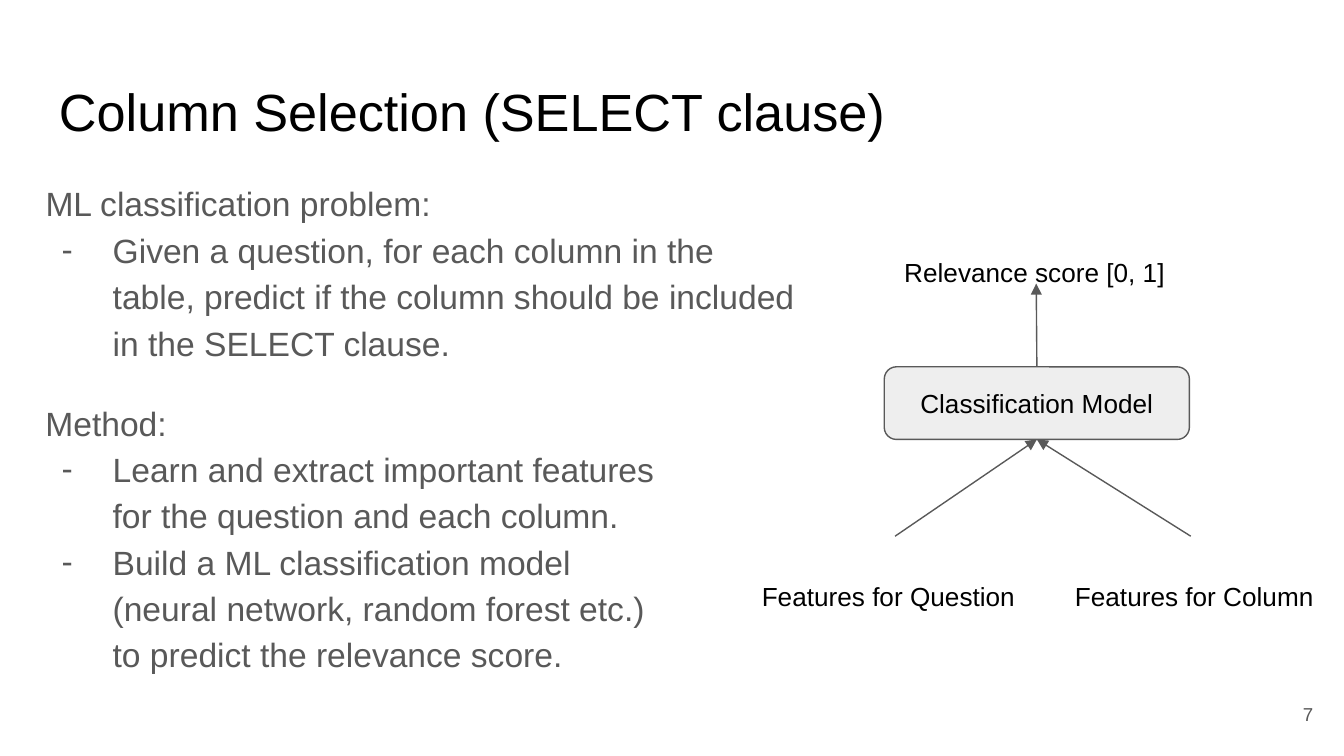
import pptx
import pptx.dml.color
import pptx.enum.shapes
import pptx.enum.text
import pptx.oxml
import pptx.oxml.ns
import pptx.util
from lxml import etree

Inches = pptx.util.Inches
Pt = pptx.util.Pt
ALIGN = pptx.enum.text.PP_ALIGN
ANCHOR = pptx.enum.text.MSO_ANCHOR
COLORS = {"black": "000000", "gray": "595959", "light": "EEEEEE", "white": "FFFFFF"}


def rgb(name):
    return pptx.dml.color.RGBColor.from_string(COLORS[name])


def write(para, text, size=14, color="black", align=ALIGN.LEFT, spacing=None, bullet=None):
    """Put formatted text, with an optional bullet, into a paragraph."""
    para.alignment = align
    if spacing:
        para.line_spacing = spacing
    if bullet:
        props = para._p.get_or_add_pPr()
        props.set("marL", str(Inches(0.5)))
        props.set("indent", str(Inches(-0.38)))
        tint = etree.SubElement(props, pptx.oxml.ns.qn("a:buClr"))
        etree.SubElement(tint, pptx.oxml.ns.qn("a:srgbClr"), val=COLORS[color])
        etree.SubElement(props, pptx.oxml.ns.qn("a:buFont"), typeface="Arial")
        etree.SubElement(props, pptx.oxml.ns.qn("a:buChar"), char=bullet)
    span = para.add_run()
    span.text = text
    span.font.name = "Arial"
    span.font.size = Pt(size)
    span.font.color.rgb = rgb(color)


class Builder:
    """Hold the drawing style and the current page."""

    def __init__(self, page, line_color="gray", line_width=0.75):
        self.page = page
        self.line_color = line_color
        self.line_width = line_width
        page.background.fill.solid()
        page.background.fill.fore_color.rgb = rgb("white")

    def outline(self, line):
        line.color.rgb = rgb(self.line_color)
        line.width = Pt(self.line_width)

    def frame(self, shape, anchor):
        frame = shape.text_frame
        frame.word_wrap = True
        frame.vertical_anchor = anchor
        frame.margin_left = frame.margin_right = Inches(0.1)
        frame.margin_top = frame.margin_bottom = Inches(0.1)
        return frame

    def text(self, place, text, anchor=ANCHOR.TOP, **style):
        box = self.page.shapes.add_textbox(*map(Inches, place))
        write(self.frame(box, anchor).paragraphs[0], text, **style)
        return box

    def section(self, place, heading, items):
        style = dict(size=18, color="gray", spacing=1.15)
        box = self.text(place, heading, **style)
        for item in items:
            write(box.text_frame.add_paragraph(), item, bullet="-", **style)

    def node(self, place, text):
        kind = pptx.enum.shapes.MSO_SHAPE.ROUNDED_RECTANGLE
        node = self.page.shapes.add_shape(kind, *map(Inches, place))
        node.shadow.inherit = False
        node.fill.solid()
        node.fill.fore_color.rgb = rgb("light")
        self.outline(node.line)
        write(self.frame(node, ANCHOR.MIDDLE).paragraphs[0], text, align=ALIGN.CENTER)
        return node

    def arrow(self, start, end):
        kind = pptx.enum.shapes.MSO_CONNECTOR.STRAIGHT
        arrow = self.page.shapes.add_connector(kind, *map(Inches, start + end))
        self.outline(arrow.line)
        tail = etree.SubElement(arrow.line._get_or_add_ln(), pptx.oxml.ns.qn("a:tailEnd"))
        tail.set("type", "triangle")
        etree.SubElement(arrow._element.spPr, pptx.oxml.ns.qn("a:effectLst"))
        return arrow


def main():
    deck = pptx.Presentation()
    deck.slide_width = Inches(10)
    deck.slide_height = deck.slide_width * 9 // 16
    build = Builder(deck.slides.add_slide(deck.slide_layouts[6]))

    build.text((0.34, 0.49, 9.32, 0.63), "Column Selection (SELECT clause)", size=28)
    build.text((9.27, 5.1, 0.6, 0.43), "7", anchor=ANCHOR.MIDDLE, size=10,
               color="gray", align=ALIGN.RIGHT)

    model = build.node((6.58, 2.73, 2.27, 0.54), "Classification Model")
    for left in (6.66, 8.86):
        build.arrow((left, 3.99), (7.72, 3.27)).end_connect(model, 2)
    build.arrow((7.72, 2.73), (7.71, 2.11)).begin_connect(model, 0)

    build.text((6.63, 1.81, 2.17, 0.29), "Relevance score [0, 1]")
    for left, source in ((5.57, "Question"), (7.9, "Column")):
        build.text((left, 4.22, 2.17, 0.25), f"Features for {source}")

    build.section((0.24, 2.85, 4.93, 0.43), "Method:", [
        "Learn and extract important features for the question and each column.",
        "Build a ML classification model (neural network, random forest etc.) "
        "to predict the relevance score.",
    ])
    build.section((0.24, 1.22, 5.81, 0.43), "ML classification problem:", [
        "Given a question, for each column in the table, predict if the column "
        "should be included in the SELECT clause.",
    ])
    deck.save("out.pptx")


if __name__ == "__main__":
    main()
